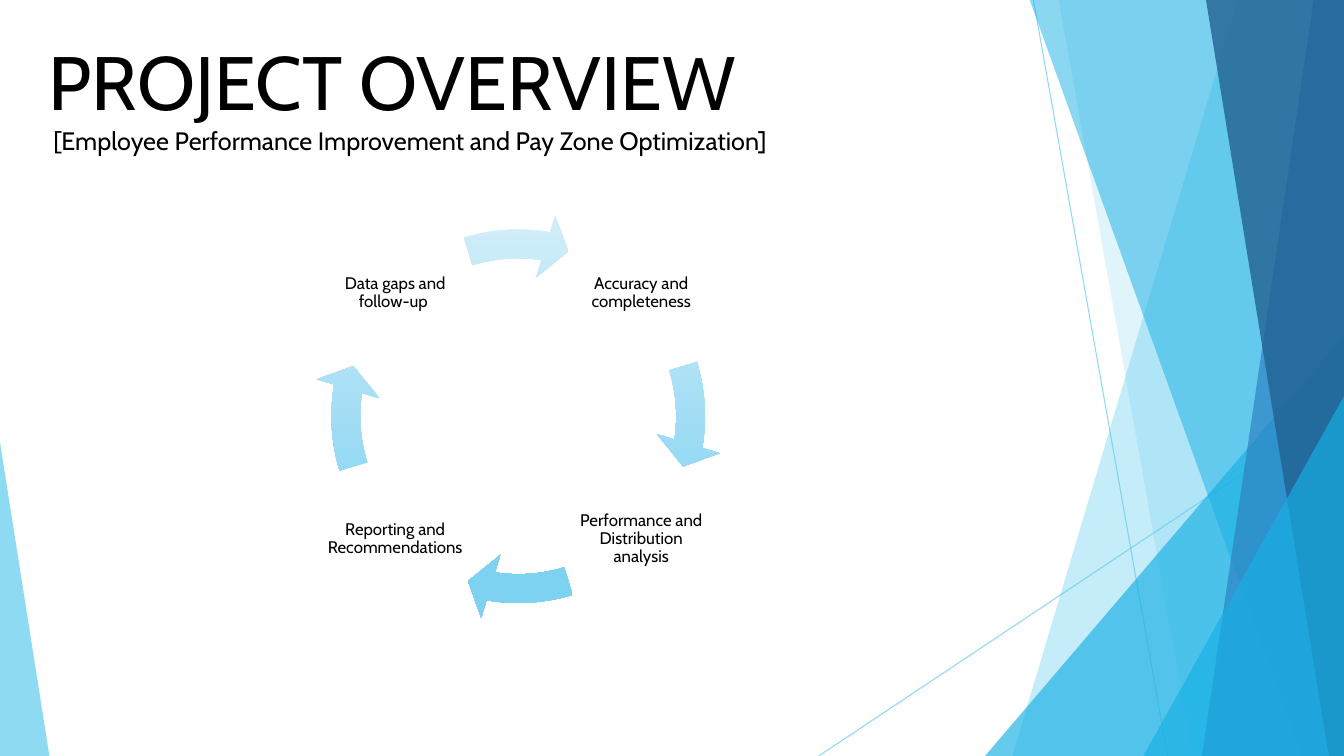
"""Build the project overview slide with its four-step cycle."""
from lxml import etree
from pptx import Presentation
from pptx.dml.color import RGBColor
from pptx.enum import shapes, text
from pptx.oxml import ns
from pptx.util import Inches, Pt

FONT = "Cabin"
BLACK = RGBColor(0x00, 0x00, 0x00)
SKY = RGBColor(0x5F, 0xCB, 0xEF)
CYAN = RGBColor(0x17, 0xB0, 0xE4)
BLUE = RGBColor(0x2E, 0x83, 0xC3)
NAVY = RGBColor(0x22, 0x62, 0x92)
PALE = RGBColor(0xD4, 0xEE, 0xF9)
LIGHT = RGBColor(0x7D, 0xD1, 0xF1)

WIDTH, HEIGHT = 13.33, 7.5
HEADINGS = [
    ("PROJECT OVERVIEW", 54, (0.38, 0.3, 7.81, 1.01)),
    ("[Employee Performance Improvement and Pay Zone Optimization]", 18,
     (0.43, 1.19, 7.91, 0.4)),
]
STEPS = [
    ("Accuracy and completeness", 1, -1),
    ("Performance and Distribution analysis", 1, 1),
    ("Reporting and Recommendations", -1, 1),
    ("Data gaps and follow-up ", -1, -1),
]
CENTER_X, CENTER_Y = 5.14, 4.13
LABEL_SIZE, LABEL_OFFSET, RING_SIZE = 1.44, 1.22, 4.07
QUARTER_TURN, FULL_TURN = 54, 216

RAYS = [((10.25, 0), (11.58, HEIGHT)), ((WIDTH, 4.03), (8.12, HEIGHT))]
FACETS = [
    ("sheet", (12.28, 10.04), SKY, 36),
    ("sheet", (10.5, 11.83), SKY, 20),
    ("triangle", (9.77, 3.33, 3.56, 1), CYAN, 66),
    ("sheet", (10.21, 12.91), CYAN, 50),
    ("sheet", (13.03, 11.92), BLUE, 70),
    ("sheet", (11.96, 13.18), NAVY, 80),
    ("triangle", (11.34, 3.93, 1.99, 1), CYAN, 66),
    ("triangle", (0, 4.39, 0.49, 0), SKY, 70),
]


def set_alpha(shape, percent):
    color = shape._element.spPr.find(".//" + ns.qn("a:srgbClr"))
    etree.SubElement(color, ns.qn("a:alpha"), val=str(percent * 1000))


def add_ray(page, start, end):
    ray = page.shapes.add_connector(
        shapes.MSO_CONNECTOR.STRAIGHT, *map(Inches, start + end))
    ray.line.color.rgb = SKY
    ray.line.width = Pt(0.75)
    set_alpha(ray, 70)
    etree.SubElement(ray._element.spPr, ns.qn("a:effectLst"))


def add_facet(page, kind, geometry, color, alpha):
    if kind == "sheet":
        top_x, bottom_x = geometry
        corners = [(top_x, -0.01), (WIDTH, -0.01), (WIDTH, HEIGHT), (bottom_x, HEIGHT)]
        points = [(Inches(x), Inches(y)) for x, y in corners]
        builder = page.shapes.build_freeform(*points[0])
        builder.add_line_segments(points[1:], close=True)
        facet = builder.convert_to_shape()
    else:
        left, top, width, apex = geometry
        facet = page.shapes.add_shape(
            shapes.MSO_SHAPE.ISOSCELES_TRIANGLE,
            *map(Inches, (left, top, width, HEIGHT - top)))
        facet.adjustments[0] = apex
    facet.shadow.inherit = False
    facet.fill.solid()
    facet.fill.fore_color.rgb = color
    facet.line.fill.background()
    set_alpha(facet, alpha)


def add_text(page, words, size, area):
    box = page.shapes.add_textbox(*map(Inches, area))
    box.text_frame.word_wrap = True
    para = box.text_frame.paragraphs[0]
    span = para.add_run()
    span.text = words
    span.font.name = FONT
    span.font.size = Pt(size)
    span.font.color.rgb = BLACK
    return box.text_frame, para


def add_label(page, words, side_x, side_y):
    left = CENTER_X + side_x * LABEL_OFFSET - LABEL_SIZE / 2
    top = CENTER_Y + side_y * LABEL_OFFSET - LABEL_SIZE / 2
    frame, para = add_text(page, words, 12, (left, top, LABEL_SIZE, LABEL_SIZE))
    frame.vertical_anchor = text.MSO_ANCHOR.MIDDLE
    frame.margin_left = frame.margin_right = Inches(0.02)
    frame.margin_top = frame.margin_bottom = Inches(0.02)
    para.alignment = text.PP_ALIGN.CENTER
    para.line_spacing = 0.9


def add_cycle_arrow(page, index):
    turn = index * QUARTER_TURN
    arrow = page.shapes.add_shape(
        shapes.MSO_SHAPE.CIRCULAR_ARROW,
        Inches(CENTER_X - RING_SIZE / 2), Inches(CENTER_Y - RING_SIZE / 2),
        Inches(RING_SIZE), Inches(RING_SIZE))
    settings = (0.07, 4.65, 5.5 + turn, (205.85 + turn) % FULL_TURN, 0.08)
    for position, value in enumerate(settings):
        arrow.adjustments[position] = value
    arrow.shadow.inherit = False
    arrow.line.fill.background()
    arrow.fill.gradient()
    arrow.fill.gradient_angle = 270
    for stop, color, place in zip(arrow.fill.gradient_stops, (PALE, LIGHT), (0, 0.88)):
        stop.color.rgb = color
        stop.position = place


def main():
    deck = Presentation()
    deck.slide_width, deck.slide_height = Inches(WIDTH), Inches(HEIGHT)
    page = deck.slides.add_slide(deck.slide_layouts[6])
    for start, end in RAYS:
        add_ray(page, start, end)
    for facet in FACETS:
        add_facet(page, *facet)
    for words, size, area in HEADINGS:
        frame, _ = add_text(page, words, size, area)
        frame.auto_size = text.MSO_AUTO_SIZE.SHAPE_TO_FIT_TEXT
    for index, step in enumerate(STEPS):
        add_label(page, *step)
        add_cycle_arrow(page, index)
    deck.save("out.pptx")


if __name__ == "__main__":
    main()
